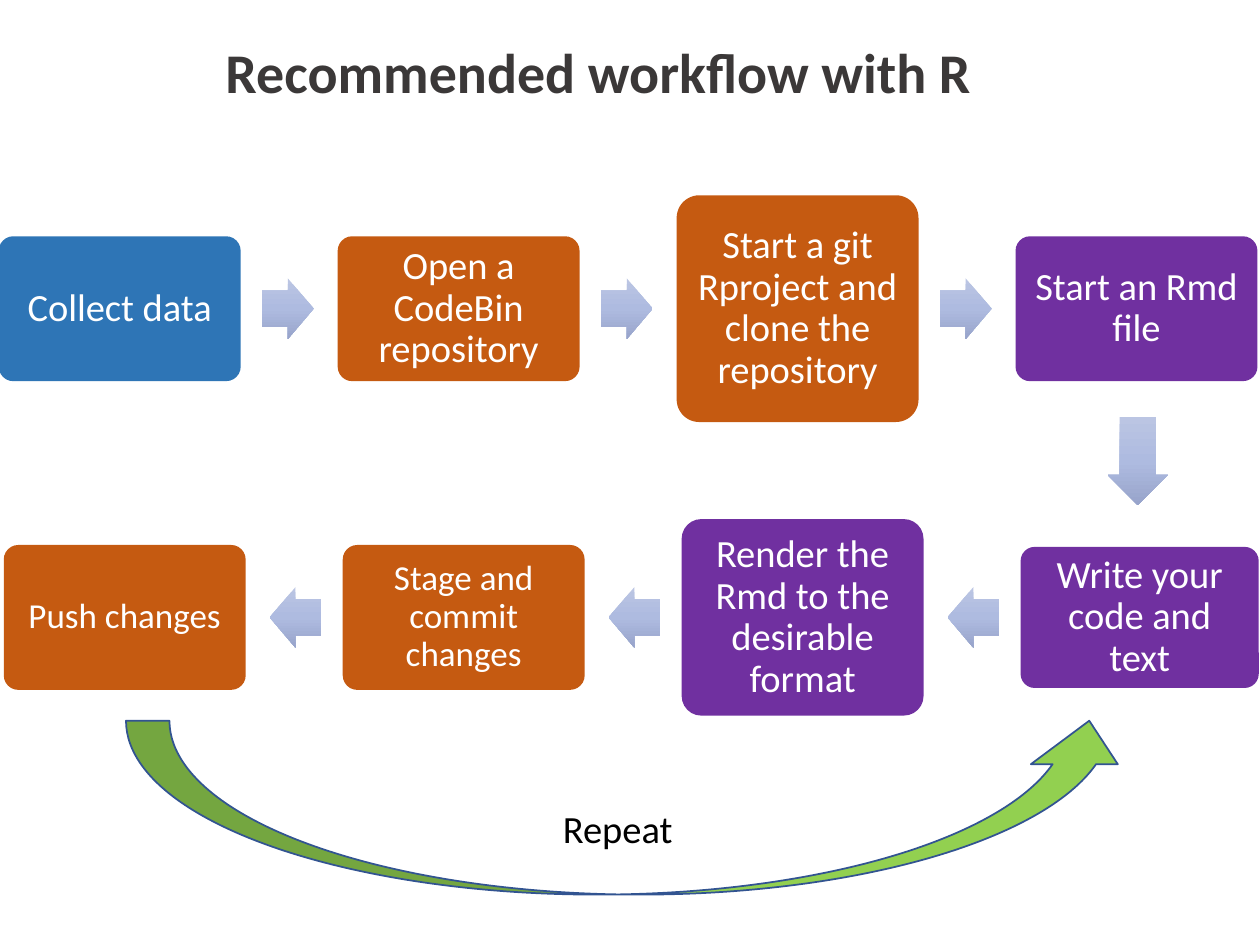
from copy import deepcopy
from pptx import Presentation
from pptx.dml.color import RGBColor
from pptx.enum.shapes import MSO_SHAPE
from pptx.enum.text import MSO_ANCHOR, MSO_AUTO_SIZE, PP_ALIGN
from pptx.oxml.ns import qn
from pptx.util import Inches, Pt

BLUE = RGBColor(0x2E, 0x75, 0xB6)
ORANGE = RGBColor(0xC5, 0x5A, 0x11)
PURPLE = RGBColor(0x70, 0x30, 0xA0)
GREEN = RGBColor(0x92, 0xD0, 0x50)
OUTLINE = RGBColor(0x32, 0x54, 0x91)
WHITE = RGBColor(0xFF, 0xFF, 0xFF)
BLACK = RGBColor(0, 0, 0)
DARK = RGBColor(0x3B, 0x38, 0x38)
ARROW_STOPS = [
    (0, RGBColor(0xBB, 0xC5, 0xE3)),
    (0.5, RGBColor(0xAE, 0xBB, 0xE0)),
    (1, RGBColor(0x98, 0xA4, 0xCB)),
]

TITLE = "Recommended workflow with R"
REPEAT = "Repeat"
ROWS = [
    {
        "left": -0.01, "middle": 2.45, "arrow_left": 2.08, "arrow": MSO_SHAPE.RIGHT_ARROW,
        "steps": [
            ("Collect data", BLUE, 1.92, 1.15, 22),
            ("Open a CodeBin repository", ORANGE, 1.92, 1.15, 22),
            ("Start a git Rproject and clone the repository", ORANGE, 1.92, 1.8, 22),
            ("Start an Rmd file", PURPLE, 1.92, 1.15, 22),
        ],
    },
    {
        "left": 0.03, "middle": 4.9, "arrow_left": 2.14, "arrow": MSO_SHAPE.LEFT_ARROW,
        "steps": [
            ("Push changes", ORANGE, 1.92, 1.15, 20),
            ("Stage and commit changes", ORANGE, 1.92, 1.15, 20),
            ("Render the Rmd to the desirable format", PURPLE, 1.92, 1.56, 22),
            ("Write your code and text", PURPLE, 1.89, 1.12, 22),
        ],
    },
]
COLUMN_STEP = 2.69
ARROW_LENGTH, ARROW_BREADTH = 0.41, 0.48

deck = Presentation()
deck.slide_width, deck.slide_height = Inches(10), Inches(7.5)
page = deck.slides.add_slide(deck.slide_layouts[5])


def write(box, text, size, color, align=PP_ALIGN.CENTER, bold=False):
    para = box.text_frame.paragraphs[0]
    para.alignment = align
    span = para.add_run()
    span.text = text
    span.font.name = "Calibri"
    span.font.size = Pt(size)
    span.font.bold = bold
    span.font.color.rgb = color
    return para


def add_plain(kind, left, top, width, height):
    shape = page.shapes.add_shape(kind, Inches(left), Inches(top), Inches(width), Inches(height))
    shape.shadow.inherit = False
    shape.line.fill.background()
    return shape


def add_step(left, middle, text, color, width, height, size):
    box = add_plain(MSO_SHAPE.ROUNDED_RECTANGLE, left, middle - height / 2, width, height)
    box.adjustments[0] = 0.1
    box.fill.solid()
    box.fill.fore_color.rgb = color
    frame = box.text_frame
    frame.word_wrap = True
    frame.vertical_anchor = MSO_ANCHOR.MIDDLE
    inset = Inches(0.09 if size == 22 else 0.08)
    frame.margin_left = frame.margin_right = frame.margin_top = frame.margin_bottom = inset
    write(box, text, size, WHITE).line_spacing = 0.9


def add_arrow(kind, left, top, width, height):
    arrow = add_plain(kind, left, top, width, height)
    arrow.adjustments[0], arrow.adjustments[1] = 0.6, 0.5
    arrow.fill.gradient()
    arrow.fill.gradient_angle = 270
    first_stop = next(arrow._element.spPr.iter(qn("a:gs")))
    first_stop.addnext(deepcopy(first_stop))
    for stop, (position, color) in zip(arrow.fill.gradient_stops, ARROW_STOPS):
        stop.position = position
        stop.color.rgb = color


for row in ROWS:
    for column, step in enumerate(row["steps"]):
        offset = column * COLUMN_STEP
        add_step(row["left"] + offset, row["middle"], *step)
        if column < len(row["steps"]) - 1:
            add_arrow(row["arrow"], row["arrow_left"] + offset,
                      row["middle"] - ARROW_BREADTH / 2, ARROW_LENGTH, ARROW_BREADTH)

add_arrow(MSO_SHAPE.DOWN_ARROW, 8.79, 3.31, ARROW_BREADTH, 0.7)

loop = add_plain(MSO_SHAPE.CURVED_UP_ARROW, 1, 5.72, 7.99, 1.38)
loop.fill.solid()
loop.fill.fore_color.rgb = GREEN
loop.line.color.rgb = OUTLINE
loop.line.width = Pt(1)

label = page.shapes.add_textbox(Inches(4.37), Inches(6.34), Inches(1.24), Inches(0.47))
label.text_frame.word_wrap = True
write(label, REPEAT, 22, BLACK, PP_ALIGN.LEFT)

title = page.shapes.title
title.left, title.top = Inches(1.52), Inches(0.25)
title.width, title.height = Inches(6.46), Inches(0.64)
title.text_frame.auto_size = MSO_AUTO_SIZE.NONE
title.text_frame.vertical_anchor = MSO_ANCHOR.TOP
write(title, TITLE, 32, DARK, bold=True)

deck.save("out.pptx")
